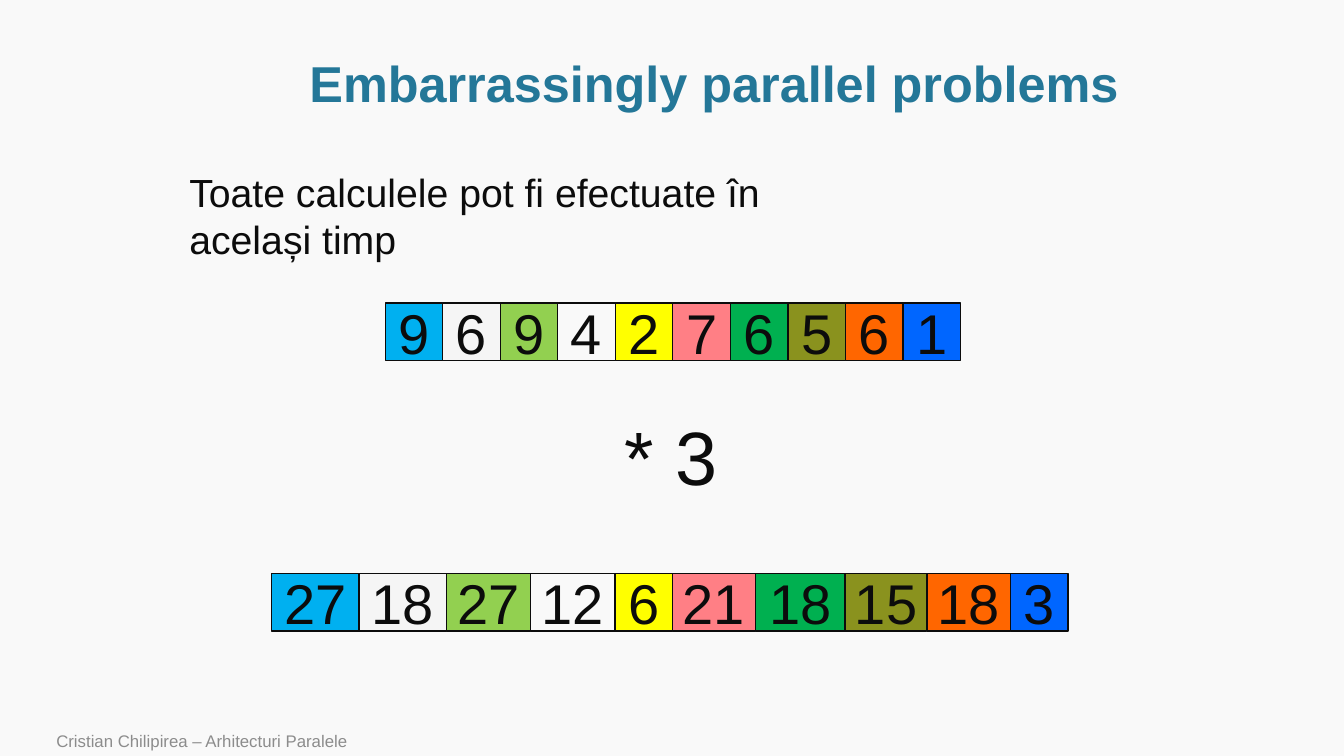
import pptx
import pptx.dml.color
import pptx.enum.shapes
import pptx.enum.text
import pptx.util

ALIGN = pptx.enum.text.PP_ALIGN
ANCHOR = pptx.enum.text.MSO_ANCHOR
INK = "0C0C0C"
CELL_W, CELL_H = 4.28, 7.6
COLORS = ["00B0F0", "F5F5F5", "92D050", None, "FFFF00",
          "FF7F85", "00B050", "8A921E", "FF6600", "0066FF"]
INPUTS = [9, 6, 9, 4, 2, 7, 6, 5, 6, 1]
FACTOR = 3
PRODUCT_WIDTHS = [6.53, 6.53, 6.23, 6.3, CELL_W, 6.15, 6.68, 6.08, 6.23, CELL_W]


def rgb(value):
    return pptx.dml.color.RGBColor.from_string(value)


def write(tf, text, size=28, color=INK, bold=False, align=ALIGN.LEFT,
          anchor=ANCHOR.TOP, wrap=True, spacing=None):
    tf.word_wrap = wrap
    tf.vertical_anchor = anchor
    p = tf.paragraphs[0]
    p.alignment = align
    if spacing:
        p.line_spacing = spacing
    r = p.add_run()
    r.text = text
    r.font.name = "Arial"
    r.font.size = pptx.util.Pt(size)
    r.font.bold = bold
    r.font.color.rgb = rgb(color)


class Deck:
    def __init__(self):
        self.prs = pptx.Presentation()
        self.prs.slide_width = pptx.util.Inches(13.33)
        self.prs.slide_height = pptx.util.Inches(7.5)
        self.s = self.prs.slides.add_slide(self.prs.slide_layouts[5])
        fill = self.s.background.fill
        fill.solid()
        fill.fore_color.rgb = rgb("F9F9F9")

    def box(self, x, y, w, h):
        width, height = self.prs.slide_width, self.prs.slide_height
        return [round(share * full / 100) for share, full in
                zip((x, y, w, h), (width, height, width, height))]

    def title(self, text, *at):
        sp = self.s.shapes.title
        sp.left, sp.top, sp.width, sp.height = self.box(*at)
        write(sp.text_frame, text, size=36, color="247798", bold=True,
              align=ALIGN.CENTER, anchor=ANCHOR.MIDDLE, spacing=0.9)

    def text(self, text, *at, **style):
        sp = self.s.shapes.add_textbox(*self.box(*at))
        write(sp.text_frame, text, **style)

    def cell(self, text, fill, *at):
        sp = self.s.shapes.add_shape(
            pptx.enum.shapes.MSO_SHAPE.RECTANGLE, *self.box(*at))
        sp.shadow.inherit = False
        if fill:
            sp.fill.solid()
            sp.fill.fore_color.rgb = rgb(fill)
        else:
            sp.fill.background()
        sp.line.color.rgb = rgb(INK)
        sp.line.width = pptx.util.Pt(1)
        tf = sp.text_frame
        tf.margin_left = tf.margin_right = tf.margin_top = tf.margin_bottom = 0
        write(tf, text, size=40, align=ALIGN.CENTER,
              anchor=ANCHOR.MIDDLE, wrap=False)

    def array(self, values, widths, x, y):
        for value, fill, w in zip(values, COLORS, widths):
            self.cell(str(value), fill, x, y, w, CELL_H)
            x += w


def main():
    deck = Deck()
    deck.title("Embarrassingly parallel problems", 8.55, 6.8, 89.2, 9.2)
    deck.array(INPUTS, [CELL_W] * len(INPUTS), 28.66, 40.07)
    deck.array([FACTOR * n for n in INPUTS], PRODUCT_WIDTHS, 20.18, 75.87)
    deck.text(f"* {FACTOR}", 45.76, 53.6, 8.48, 13.47, size=54, wrap=False)
    deck.text("Toate calculele pot fi efectuate în același timp",
              13.35, 21.6, 51.99, 13.87)
    deck.text("Cristian Chilipirea – Arhitecturi Paralele",
              3.45, 96.27, 73.67, 3.73,
              size=12, color="8C8C8C", anchor=ANCHOR.BOTTOM)
    deck.prs.save("out.pptx")


if __name__ == "__main__":
    main()
